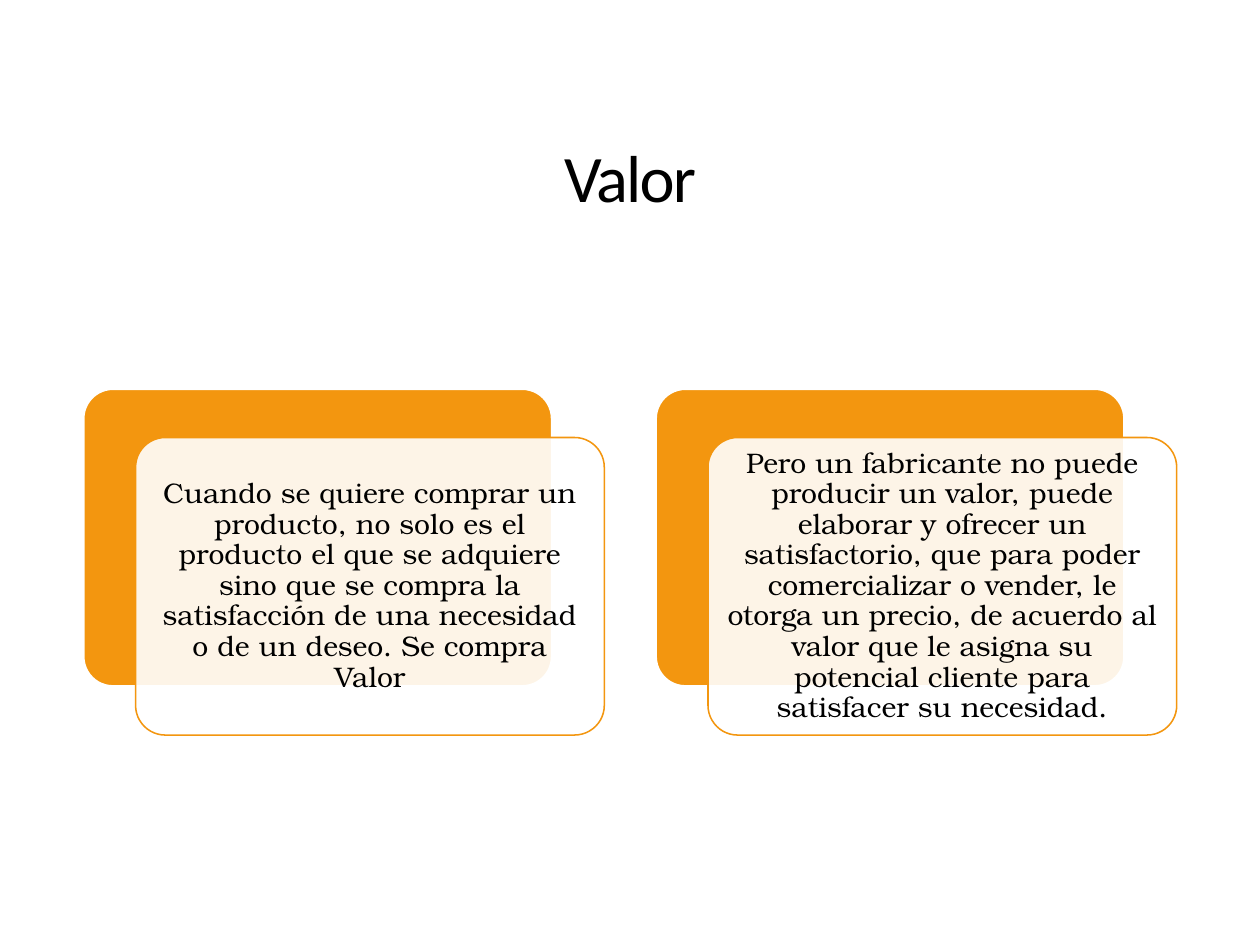
from lxml import etree
from pptx import Presentation
from pptx.dml.color import RGBColor
from pptx.enum.shapes import MSO_SHAPE
from pptx.enum.text import MSO_ANCHOR, PP_ALIGN
from pptx.oxml.ns import qn
from pptx.util import Pt

PX = 9144
ROUND = MSO_SHAPE.ROUNDED_RECTANGLE
MIDDLE = MSO_ANCHOR.MIDDLE
CENTER = PP_ALIGN.CENTER
WHITE = RGBColor(0xFF, 0xFF, 0xFF)
BLACK = RGBColor(0, 0, 0)
ORANGE = RGBColor(0xF3, 0x96, 0x0F)

CARDS = [
    "Cuando se quiere comprar un producto, no solo es el producto el que se "
    "adquiere sino que se compra la satisfacción de una necesidad o de un "
    "deseo. Se compra Valor",
    "Pero un fabricante no puede producir un valor, puede elaborar y ofrecer "
    "un satisfactorio, que para poder comercializar o vender, le otorga un "
    "precio, de acuerdo al valor que le asigna su potencial cliente para "
    "satisfacer su necesidad.",
]


def scale(*sizes):
    """Turn px lengths into EMU."""
    return [size * PX for size in sizes]


def write(shape, text, font, size, inset, leading):
    """Write one centred paragraph into a shape and return its run."""
    frame = shape.text_frame
    frame.word_wrap = True
    frame.vertical_anchor = MIDDLE
    frame.margin_left = frame.margin_right = inset * PX
    frame.margin_top = frame.margin_bottom = inset * PX
    para = frame.paragraphs[0]
    para.alignment = CENTER
    para.line_spacing = leading
    run = para.add_run()
    run.text = text
    run.font.name = font
    run.font.size = Pt(size)
    run.font.color.rgb = BLACK
    return run


def add_title(slide, left, top, width, height):
    """Place the heading in its box."""
    box = slide.shapes.add_textbox(*scale(left, top, width, height))
    run = write(box, "Valor", "Calibri", 54, 25, 0.85)
    run.font._element.set("spc", "-150")


def add_panel(slide, left, top, width, height, fill, line, weight):
    """Place one rounded panel."""
    panel = slide.shapes.add_shape(ROUND, *scale(left, top, width, height))
    panel.adjustments[0] = 0.1
    panel.shadow.inherit = False
    panel.fill.solid()
    panel.fill.fore_color.rgb = fill
    panel.line.color.rgb = line
    panel.line.width = Pt(weight)
    return panel


def add_card(slide, left, top, width, height, text):
    """Place an orange panel with a shifted, translucent text panel on it."""
    add_panel(slide, left, top, width, height, ORANGE, WHITE, 2)
    front = add_panel(slide, left + 59, top + 55, width, height,
                      WHITE, ORANGE, 1.25)
    color = front.fill._xPr.find(qn("a:solidFill"))[0]
    etree.SubElement(color, qn("a:alpha")).set("val", "90000")
    write(front, text, "TeX Gyre Bonum", 23, 10, 0.9)


def main():
    """Build the slide and save it."""
    deck = Presentation()
    deck.slide_width, deck.slide_height = scale(1422, 1067)
    slide = deck.slides.add_slide(deck.slide_layouts[6])
    add_title(slide, 205, 124, 1012, 163)
    for col, text in enumerate(CARDS):
        add_card(slide, 94 + 646 * col, 439, 529, 336, text)
    deck.save("out.pptx")


if __name__ == "__main__":
    main()
